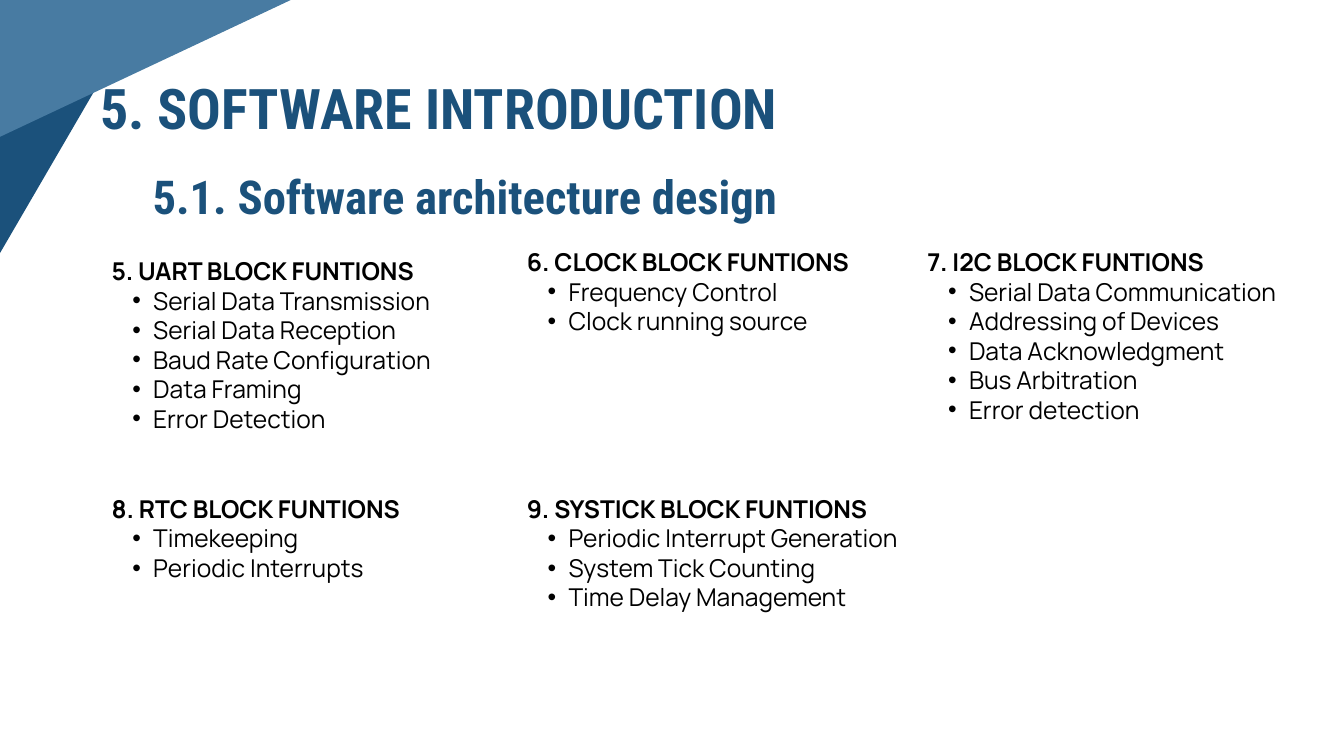
from lxml import etree
from pptx import Presentation
from pptx.dml.color import RGBColor
from pptx.enum.text import MSO_AUTO_SIZE as AutoSize, PP_ALIGN as Align
from pptx.oxml.ns import qn
from pptx.util import Inches, Pt

NAVY, STEEL, BLACK = "1B517B", "487BA2", "000000"
HEADING_FONT, BODY_FONT = "Roboto Condensed", "Manrope"
COLUMNS = (1.66, 7.84, 13.8)
LOWER_ROW = 7.35


def color(value):
    return RGBColor.from_string(value)


def add_band(slide, x, y, w, h, angle, fill):
    corners = [(x + w, y), (x + w, y + h), (x, y + h)]
    builder = slide.shapes.build_freeform(Inches(x), Inches(y), scale=1.0)
    builder.add_line_segments([(Inches(a), Inches(b)) for a, b in corners])
    sp = builder.convert_to_shape()
    sp.rotation = angle
    sp.shadow.inherit = False
    sp.fill.solid()
    sp.fill.fore_color.rgb = color(fill)
    sp.line.fill.background()


def add_box(slide, x, y, w, h):
    tf = slide.shapes.add_textbox(Inches(x), Inches(y), Inches(w), Inches(h)).text_frame
    tf.word_wrap = True
    tf.auto_size = AutoSize.SHAPE_TO_FIT_TEXT
    tf.margin_left = tf.margin_top = tf.margin_right = tf.margin_bottom = 0
    return tf


def add_run(p, text, font, size, fill, bold):
    r = p.add_run()
    r.text = text
    r.font.name = font
    r.font.size = Pt(size)
    r.font.bold = bold
    r.font.color.rgb = color(fill)


def add_heading(slide, x, y, w, h, text, size):
    p = add_box(slide, x, y, w, h).paragraphs[0]
    p.line_spacing = Pt(size * 1.2)
    add_run(p, text, HEADING_FONT, size, NAVY, True)


def set_bullet(p):
    p.level = 1
    pPr = p._p.get_or_add_pPr()
    pPr.set("marL", str(Inches(0.62)))
    pPr.set("indent", str(Inches(-0.31)))
    etree.SubElement(pPr, qn("a:buFont")).set("typeface", "Arial")
    etree.SubElement(pPr, qn("a:buChar")).set("char", "•")


def add_block(slide, x, y, w, title, items):
    tf = add_box(slide, x, y, w, 0.44 * (len(items) + 1))
    for i, text in enumerate([title, *items]):
        p = tf.add_paragraph() if i else tf.paragraphs[0]
        if i:
            set_bullet(p)
        p.alignment = Align.JUSTIFY
        p.line_spacing = Pt(31.6)
        add_run(p, text, BODY_FONT, 26.3, BLACK, i == 0)


def main():
    prs = Presentation()
    prs.slide_width, prs.slide_height = Inches(20), Inches(11.25)
    slide = prs.slides.add_slide(prs.slide_layouts[6])

    add_band(slide, -1.06, -7.18, 3.22, 13.6, 30.2, NAVY)
    add_band(slide, 0.05, -3.8, 3.22, 6.55, 244.8, STEEL)
    add_heading(slide, 1.49, 1.1, 10.64, 1.02, "5. SOFTWARE INTRODUCTION", 60)
    add_heading(slide, 2.27, 2.49, 9.66, 0.85, "5.1. Software architecture design", 50)

    left, middle, right = COLUMNS
    blocks = [
        (left, 3.81, 6.37, "5. UART BLOCK FUNTIONS",
         ["Serial Data Transmission", "Serial Data Reception",
          "Baud Rate Configuration", "Data Framing", "Error Detection"]),
        (middle, 3.68, 7.05, "6. CLOCK BLOCK FUNTIONS",
         ["Frequency Control", "Clock running source"]),
        (right, 3.68, 5.99, "7. I2C BLOCK FUNTIONS",
         ["Serial Data Communication", "Addressing of Devices",
          "Data Acknowledgment", "Bus Arbitration", "Error detection"]),
        (left, LOWER_ROW, 7.29, "8. RTC BLOCK FUNTIONS",
         ["Timekeeping", "Periodic Interrupts"]),
        (middle, LOWER_ROW, 7.29, "9. SYSTICK BLOCK FUNTIONS",
         ["Periodic Interrupt Generation", "System Tick Counting",
          "Time Delay Management"]),
    ]
    for block in blocks:
        add_block(slide, *block)

    prs.save("out.pptx")


if __name__ == "__main__":
    main()
